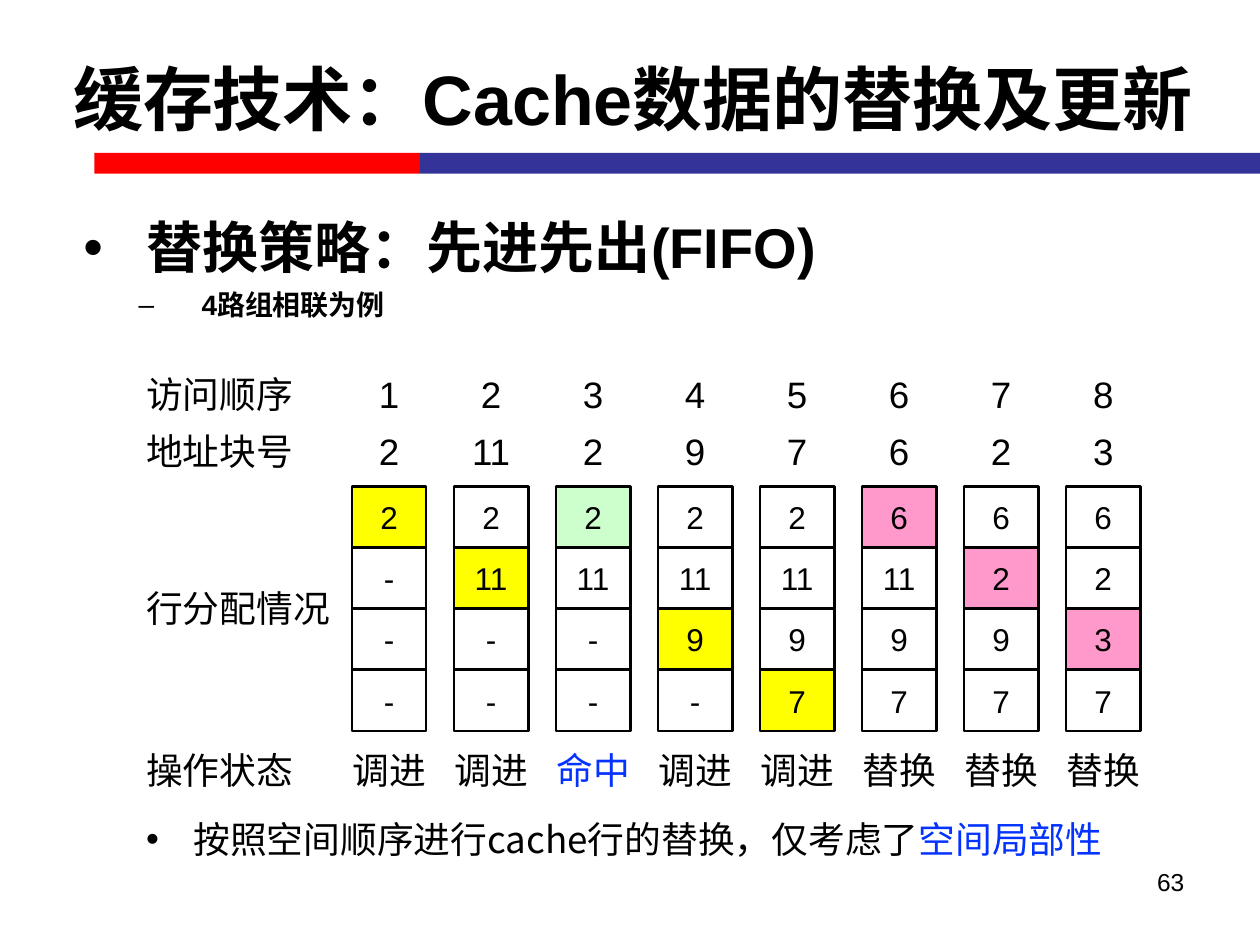
from lxml import etree
from pptx import Presentation
from pptx.dml.color import RGBColor
from pptx.enum.shapes import MSO_SHAPE
from pptx.enum.text import MSO_ANCHOR, MSO_AUTO_SIZE, PP_ALIGN
from pptx.oxml.ns import qn
from pptx.util import Pt

RECT = MSO_SHAPE.RECTANGLE
MIDDLE, TOP = MSO_ANCHOR.MIDDLE, MSO_ANCHOR.TOP
NO_FIT = MSO_AUTO_SIZE.NONE
LEFT, CENTER, RIGHT = PP_ALIGN.LEFT, PP_ALIGN.CENTER, PP_ALIGN.RIGHT
LATIN, CJK = "Arial", "Noto Sans CJK SC"
COLORS = {
    "text": "000000", "accent": "0432FF", "red": "FF0000", "navy": "333399",
    "plain": "FFFFFF", "调进": "FFFF00", "命中": "CCFFCC", "替换": "FF99CC",
}


def style_runs(paragraph, size, font=LATIN, color="text", bold=False):
    for run in paragraph.runs:
        run.font.size = Pt(size)
        run.font.name = font
        run.font.bold = bold
        run.font.color.rgb = RGBColor.from_string(COLORS[color])
        east_asian = etree.SubElement(run.font._element, qn("a:ea"))
        east_asian.set("typeface", CJK)


def add_label(text, left, top, width, align=LEFT, size=21, font=LATIN, color="text", wrap=True):
    frame = slide.shapes.add_textbox(Pt(left), Pt(top), Pt(width), Pt(25.2)).text_frame
    frame.margin_left = frame.margin_right = frame.margin_top = frame.margin_bottom = 0
    frame.word_wrap = wrap
    frame.text = text
    frame.paragraphs[0].alignment = align
    style_runs(frame.paragraphs[0], size, font, color)
    return frame.paragraphs[0]


prs = Presentation()
prs.slide_width, prs.slide_height = Pt(720), Pt(540)
slide = prs.slides.add_slide(prs.slide_layouts[1])

# Two-colour rule under the title
for left, width, color in [(54, 186, "red"), (240, 480, "navy")]:
    bar = slide.shapes.add_shape(RECT, Pt(left), Pt(87.3), Pt(width), Pt(12))
    bar.shadow.inherit = False
    bar.fill.solid()
    bar.fill.fore_color.rgb = RGBColor.from_string(COLORS[color])
    bar.line.fill.background()

# Title
title = slide.shapes.title
title.left, title.top, title.width, title.height = Pt(11.5), Pt(10.8), Pt(700), Pt(90)
title.text_frame.text = "缓存技术：Cache数据的替换及更新"
title.text_frame.auto_size = NO_FIT
title.text_frame.vertical_anchor = MIDDLE
title.text_frame.paragraphs[0].alignment = CENTER
style_runs(title.text_frame.paragraphs[0], 40, bold=True)

# Replacement policy
policy = slide.placeholders[1]
policy.left, policy.top, policy.width, policy.height = Pt(36), Pt(122.4), Pt(648), Pt(52)
policy.text_frame.text = "替换策略：先进先出(FIFO)\n4路组相联为例"
policy.text_frame.auto_size = NO_FIT
policy.text_frame.vertical_anchor = TOP
policy_levels = [(32, 40.5, 0), (16, 72, 6)]
for level, (size, indent, space) in enumerate(policy_levels):
    paragraph = policy.text_frame.paragraphs[level]
    paragraph.level = level
    paragraph.line_spacing = 0.9
    paragraph.space_before = Pt(space)
    properties = paragraph._p.get_or_add_pPr()
    properties.set("marL", str(Pt(indent)))
    properties.set("indent", str(Pt(-36)))
    style_runs(paragraph, size, bold=True)

# Row headings
ORDER_TOP, BLOCK_TOP, STATUS_TOP = 212.4, 244.8, 427
row_headings = [("访问顺序", ORDER_TOP, 84), ("地址块号", BLOCK_TOP, 84),
                ("行分配情况", 334.8, 106.6), ("操作状态", STATUS_TOP, 84)]
for heading, top, width in row_headings:
    add_label(heading, 83.5, top, width, font=CJK, wrap=False)

# One column per access: block number, cache lines, touched line, status
accesses = [
    ("2", ["2", "-", "-", "-"], 0, "调进"),
    ("11", ["2", "11", "-", "-"], 1, "调进"),
    ("2", ["2", "11", "-", "-"], 0, "命中"),
    ("9", ["2", "11", "9", "-"], 2, "调进"),
    ("7", ["2", "11", "9", "7"], 3, "调进"),
    ("6", ["6", "11", "9", "7"], 0, "替换"),
    ("2", ["6", "2", "9", "7"], 1, "替换"),
    ("3", ["6", "2", "3", "7"], 2, "替换"),
]
COLUMN_LEFT, COLUMN_PITCH, CELL_WIDTH = 201, 58.3, 42.6
LINE_TOP, LINE_PITCH, CELL_HEIGHT = 278, 35, 34.7
for order, (block, lines, touched, status) in enumerate(accesses):
    left = COLUMN_LEFT + order * COLUMN_PITCH
    add_label(str(order + 1), left, ORDER_TOP, CELL_WIDTH, CENTER)
    add_label(block, left, BLOCK_TOP, CELL_WIDTH, CENTER)
    for row, content in enumerate(lines):
        cell = slide.shapes.add_shape(RECT, Pt(left), Pt(LINE_TOP + row * LINE_PITCH),
                                      Pt(CELL_WIDTH), Pt(CELL_HEIGHT))
        cell.shadow.inherit = False
        cell.fill.solid()
        fill = status if row == touched else "plain"
        cell.fill.fore_color.rgb = RGBColor.from_string(COLORS[fill])
        cell.line.color.rgb = RGBColor.from_string(COLORS["text"])
        cell.line.width = Pt(1.38)
        frame = cell.text_frame
        frame.margin_left = frame.margin_right = 0
        frame.vertical_anchor = MIDDLE
        frame.text = content
        frame.paragraphs[0].alignment = CENTER
        style_runs(frame.paragraphs[0], 18)
    add_label(status, left, STATUS_TOP, CELL_WIDTH, CENTER,
              color="accent" if status == "命中" else "text")

# Conclusion with highlighted ending
conclusion = add_label("按照空间顺序进行cache行的替换，仅考虑了", 83.5, 466.6, 575, font=CJK)
properties = conclusion._p.get_or_add_pPr()
properties.set("marL", str(Pt(27)))
properties.set("indent", str(Pt(-27)))
etree.SubElement(properties, qn("a:buFont")).set("typeface", LATIN)
etree.SubElement(properties, qn("a:buChar")).set("char", "•")
locality = conclusion.add_run()
locality.text = "空间局部性"
locality.font.size = Pt(21)
locality.font.name = CJK
locality.font.color.rgb = RGBColor.from_string(COLORS["accent"])
etree.SubElement(locality.font._element, qn("a:ea")).set("typeface", CJK)

# Page number
add_label("63", 516, 495.4, 160.8, RIGHT, size=14)

prs.save("out.pptx")
